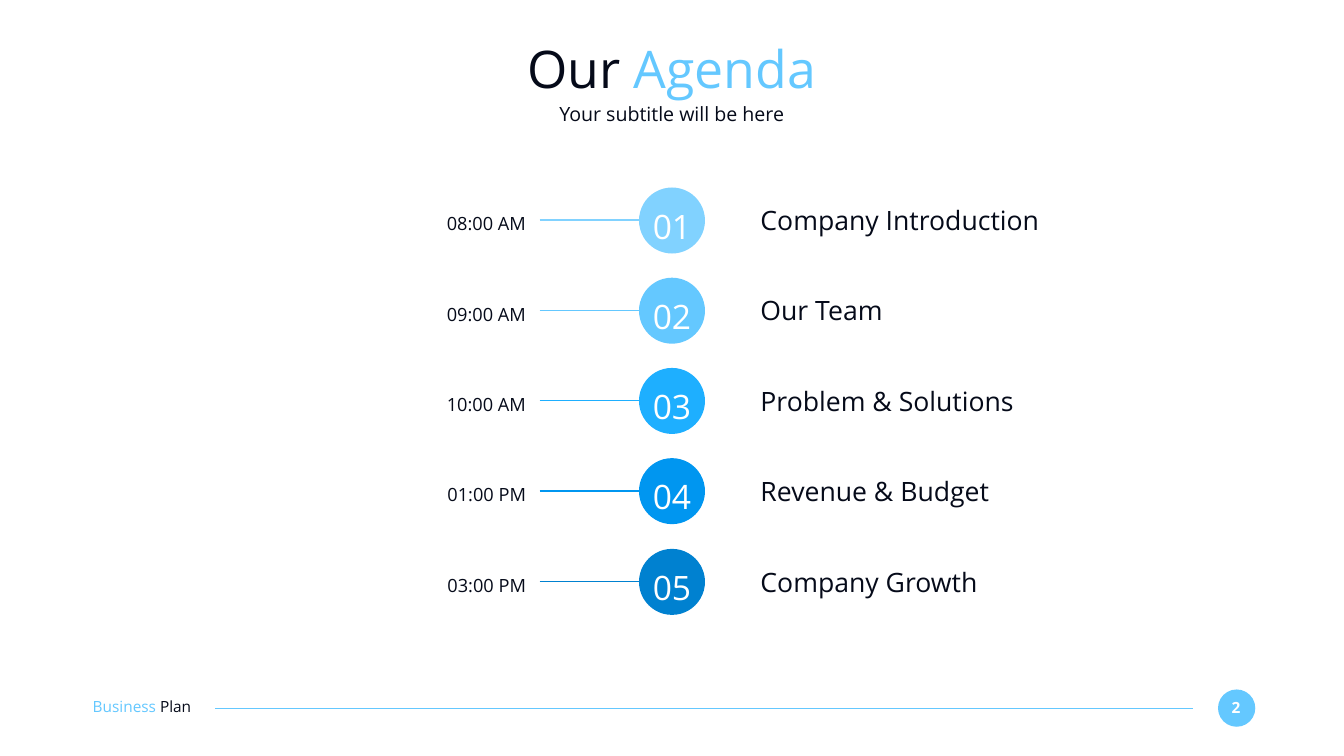
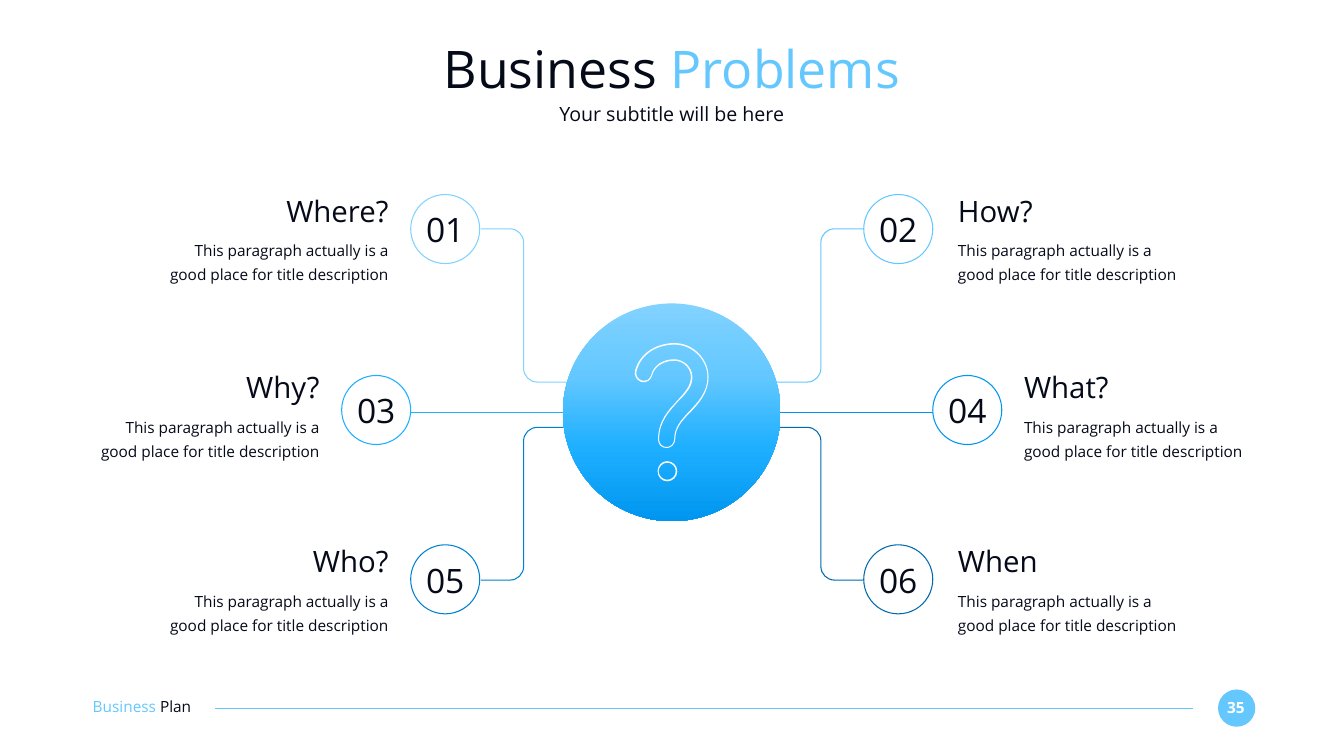
"""Build the agenda and business problems slides of a business plan deck."""
from lxml import etree
from pptx import Presentation
from pptx.dml.color import RGBColor
from pptx.enum.shapes import MSO_CONNECTOR, MSO_SHAPE
from pptx.enum.text import MSO_ANCHOR, PP_ALIGN
from pptx.oxml.ns import qn
from pptx.util import Pt

PX = 9144
SLIDE_W, SLIDE_H = 2667, 1500
FONT = "Open Sans"

INK = RGBColor(0x05, 0x0A, 0x19)
WHITE = RGBColor(0xFF, 0xFF, 0xFF)
PALE = RGBColor(0x81, 0xD2, 0xFF)
SKY = RGBColor(0x64, 0xC8, 0xFF)
BRIGHT = RGBColor(0x1E, 0xAF, 0xFF)
AZURE = RGBColor(0x00, 0x96, 0xF0)
DEEP = RGBColor(0x00, 0x81, 0xD0)
NAVY = RGBColor(0x00, 0x6A, 0xAC)

LEFT, CENTER, RIGHT = PP_ALIGN.LEFT, PP_ALIGN.CENTER, PP_ALIGN.RIGHT
TOP = MSO_ANCHOR.TOP
ELLIPSE = MSO_SHAPE.OVAL
STRAIGHT = MSO_CONNECTOR.STRAIGHT

SUBTITLE = "Your subtitle will be here"
DESCRIPTION = "This paragraph actually is a good place for title description"
AGENDA = [
    ("08:00 AM", "Company Introduction", PALE),
    ("09:00 AM", "Our Team", SKY),
    ("10:00 AM", "Problem & Solutions", BRIGHT),
    ("01:00 PM", "Revenue & Budget", AZURE),
    ("03:00 PM", "Company Growth", DEEP),
]
AGENDA_TOP, AGENDA_SPAN = 372, 717

RING = 137
QUESTIONS = [
    ("Where?", PALE, RIGHT, 815, 386, 313, 383, 458),
    ("How?", SKY, LEFT, 1714, 386, 1901, 383, 458),
    ("Why?", BRIGHT, RIGHT, 678, 745, 183, 733, 451),
    ("What?", AZURE, LEFT, 1851, 745, 2032, 733, 451),
    ("Who?", DEEP, RIGHT, 815, 1081, 313, 1078, 458),
    ("When", NAVY, LEFT, 1714, 1081, 1901, 1078, 458),
]
ELBOWS = [
    (954, 454, 1039, 1139, 758, PALE),
    (1714, 454, 1629, 1530, 758, SKY),
    (954, 1151, 1039, 1139, 848, DEEP),
    (1714, 1151, 1629, 1530, 848, NAVY),
]
HUB_STOPS = [(0, PALE), (33, SKY), (66, BRIGHT), (100, AZURE)]
HOOK_OUTER = [
    (85, 2), (53, 0), (13, 16), (2, 57), (0, 67), (6, 76), (15, 79),
    (19, 80), (24, 79), (28, 77), (32, 74), (35, 71), (36, 66),
    (42, 44), (64, 36), (83, 37), (100, 38), (113, 53), (113, 69),
    (113, 86), (103, 97), (87, 115), (69, 134), (48, 156), (48, 192),
    (48, 194), (48, 194), (48, 194), (48, 203), (55, 210), (65, 210),
    (74, 210), (82, 202), (82, 192), (82, 170), (96, 155), (112, 139),
    (129, 121), (148, 100), (148, 69), (148, 35), (120, 4), (85, 2),
]
HOOK_INNER = [
    (110, 137), (94, 154), (80, 169), (80, 192), (80, 201), (73, 208), (65, 208),
    (57, 208), (50, 202), (50, 194), (50, 192), (50, 192), (50, 192),
    (50, 157), (71, 136), (89, 116), (106, 99), (116, 87), (116, 69),
    (116, 51), (101, 36), (83, 34), (81, 34), (80, 34), (79, 34),
    (60, 34), (39, 44), (34, 66), (33, 69), (30, 73), (27, 75),
    (23, 76), (19, 77), (16, 76), (8, 74), (3, 66), (5, 58),
    (15, 18), (54, 3), (85, 5), (118, 7), (146, 36), (146, 69),
    (146, 99), (127, 119), (110, 137),
]
DOT_OUTER = [
    (66, 236), (55, 236), (47, 245), (47, 256), (47, 267), (55, 276), (66, 276),
    (77, 276), (86, 267), (86, 256), (86, 245), (77, 236), (66, 236),
]
DOT_INNER = [
    (66, 273), (57, 273), (49, 265), (49, 256), (49, 247), (57, 239), (66, 239),
    (76, 239), (83, 247), (83, 256), (83, 265), (76, 273), (66, 273),
]
QUESTION_MARK = [HOOK_OUTER, HOOK_INNER, DOT_OUTER, DOT_INNER]


def add_text(slide, box, runs, size, align=LEFT, spacing=None, bold=None):
    """Add a one-paragraph text box holding (text, colour) runs."""
    frame = slide.shapes.add_textbox(*(v * PX for v in box)).text_frame
    frame.word_wrap = True
    frame.vertical_anchor = TOP
    frame.margin_left = frame.margin_right = 0
    frame.margin_top = frame.margin_bottom = 0
    paragraph = frame.paragraphs[0]
    paragraph.alignment = align
    if spacing:
        paragraph.line_spacing = spacing
    for text, color in runs:
        run = paragraph.add_run()
        run.text = text
        run.font.name = FONT
        run.font.size = Pt(size)
        run.font.bold = bold
        run.font.color.rgb = color


def add_line(slide, x1, y1, x2, y2, color, width=1.5):
    """Add a straight line without a shadow."""
    line = slide.shapes.add_connector(STRAIGHT, *(v * PX for v in (x1, y1, x2, y2)))
    line.line.color.rgb = color
    line.line.width = Pt(width)
    etree.SubElement(line.element.spPr, qn("a:effectLst"))


def outline(shape, color):
    """Leave a shape unfilled with a coloured outline."""
    shape.fill.background()
    shape.line.color.rgb = color
    shape.line.width = Pt(1.5)


def fill(shape, color):
    """Fill a shape with one colour and hide its line."""
    shape.fill.solid()
    shape.fill.fore_color.rgb = color
    shape.line.fill.background()


def add_circle(slide, x, y, size):
    """Add a circle without a shadow."""
    circle = slide.shapes.add_shape(ELLIPSE, x * PX, y * PX, size * PX, size * PX)
    circle.shadow.inherit = False
    return circle


def add_curves(slide, x, y, contours, close):
    """Add a freeform of cubic curves; each contour is a start and triples of points."""
    scaled = [[(round((x + px) * PX), round((y + py) * PX)) for px, py in contour]
              for contour in contours]
    builder = slide.shapes.build_freeform(*scaled[0][0], scale=1.0)
    for index, (start, *points) in enumerate(scaled):
        if index:
            builder.move_to(*start)
        builder.add_line_segments(points, close=close)
    shape = builder.convert_to_shape()
    shape.shadow.inherit = False
    path = shape.element.spPr.find(".//" + qn("a:path"))
    sides = path.findall(qn("a:lnTo"))
    for first in range(0, len(sides), 3):
        cubic = etree.Element(qn("a:cubicBezTo"))
        sides[first].addprevious(cubic)
        for side in sides[first:first + 3]:
            cubic.append(side[0])
            path.remove(side)
    return shape


def add_elbow(slide, x1, y1, spine, x2, y2, color, radius=27):
    """Draw a line that turns twice at a vertical spine, with round corners."""
    width, height, turn = x2 - x1, y2 - y1, spine - x1
    across = radius if width > 0 else -radius
    down = radius if height > 0 else -radius
    near, far = 0.45 * across, 0.45 * down
    contour = [(0, 0)]
    contour += [(turn - across, 0)] * 3
    contour += [(turn - near, 0), (turn, far), (turn, down)]
    contour += [(turn, height - down)] * 3
    contour += [(turn, height - far), (turn + near, height), (turn + across, height)]
    contour += [(width, height)] * 3
    outline(add_curves(slide, x1, y1, [contour], close=False), color)


def add_frame(slide, lead, accent, page):
    """Add the title, subtitle and footer shared by the slides."""
    fill(add_circle(slide, 2417, 1368, 74), SKY)
    add_text(slide, (2423, 1385, 59, 37), [(page, WHITE)], 22, CENTER, bold=True)
    add_line(slide, 2367, 1405, 427, 1405, SKY)
    add_text(slide, (184, 1384, 259, 37), [("Business ", SKY), ("Plan", INK)], 22)
    add_text(slide, (183, 73, 2300, 127), [(lead, INK), (accent, SKY)], 74, CENTER)
    add_text(slide, (183, 203, 2300, 49), [(SUBTITLE, INK)], 28, CENTER)


def add_agenda_item(slide, x, y, number, time, topic, color):
    """Add one agenda row, from its time to its topic."""
    fill(add_circle(slide, x + 578, y, 131), color)
    add_line(slide, x + 381, y + 65, x + 578, y + 65, color, 2.25)
    add_text(slide, (x + 592, y + 20, 103, 97), [(number, WHITE)], 48, CENTER, 1.2)
    add_text(slide, (x, y + 37, 354, 53), [(time, INK)], 26, RIGHT, 1.3)
    add_text(slide, (x + 819, y + 33, 629, 64), [(topic, INK)], 38)


def add_ring(slide, x, y, number, color):
    """Add an outlined circle with its number."""
    outline(add_circle(slide, x, y, RING), color)
    add_text(slide, (x + 14, y + 29, 109, 81), [(number, INK)], 48, CENTER)


def add_question(slide, x, y, width, question, align):
    """Add a question above its description."""
    add_text(slide, (x, y, width, 71), [(question, INK)], 42, align)
    add_text(slide, (x, y + 85, width, 96), [(DESCRIPTION, INK)], 22, align, 1.3)


def add_hub(slide, x, y, size):
    """Add the gradient circle with an outlined question mark."""
    hub = add_circle(slide, x, y, size)
    hub.line.fill.background()
    hub.fill.gradient()
    hub.fill.gradient_angle = 270
    stops = hub.element.spPr.find(".//" + qn("a:gsLst"))
    for stop in list(stops):
        stops.remove(stop)
    for position, color in HUB_STOPS:
        stop = etree.SubElement(stops, qn("a:gs"), pos=str(position * 1000))
        etree.SubElement(stop, qn("a:srgbClr"), val=str(color))
    fill(add_curves(slide, x + 141, y + 77, QUESTION_MARK, close=True), WHITE)


def build_agenda(slide):
    """Lay out the agenda rows at an equal pitch."""
    add_frame(slide, "Our ", "Agenda", "2")
    for index, (time, topic, color) in enumerate(AGENDA):
        row_top = AGENDA_TOP + index * AGENDA_SPAN // (len(AGENDA) - 1)
        add_agenda_item(slide, 690, row_top, f"{index + 1:02}", time, topic, color)


def build_problems(slide):
    """Lay out six questions around the hub."""
    add_frame(slide, "Business ", "Problems", "35")
    add_line(slide, 1139, 818, 815, 818, BRIGHT)
    add_line(slide, 1851, 818, 1530, 818, AZURE)
    for elbow in ELBOWS:
        add_elbow(slide, *elbow)
    for index, item in enumerate(QUESTIONS, 1):
        question, color, align, ring_x, ring_y, text_x, text_y, width = item
        add_ring(slide, ring_x, ring_y, f"{index:02}", color)
        add_question(slide, text_x, text_y, width, question, align)
    add_hub(slide, 1117, 602, 432)


def main():
    """Build and save the deck."""
    deck = Presentation()
    deck.slide_width, deck.slide_height = SLIDE_W * PX, SLIDE_H * PX
    blank = deck.slide_layouts[6]
    for build in (build_agenda, build_problems):
        build(deck.slides.add_slide(blank))
    deck.save("out.pptx")


if __name__ == "__main__":
    main()
